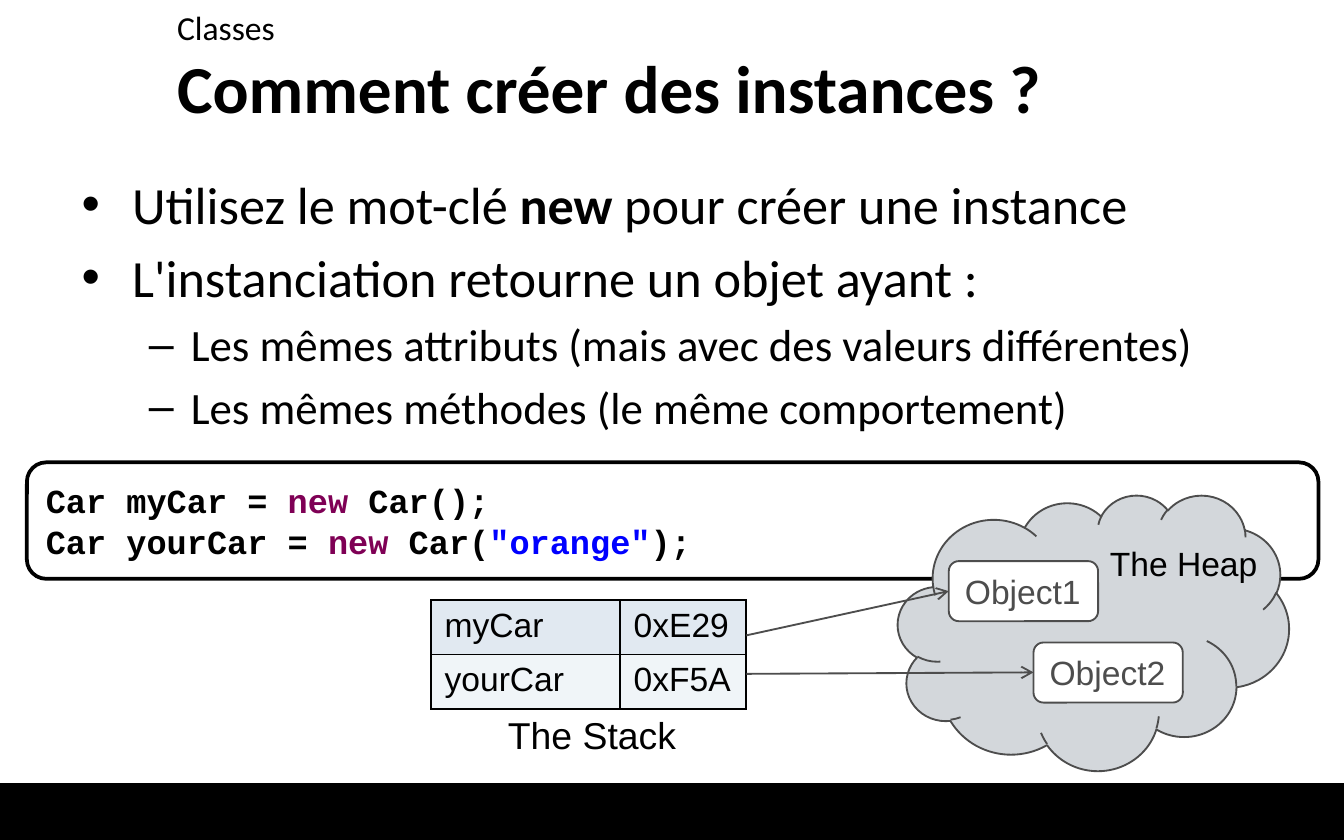
from dataclasses import dataclass
from typing import NamedTuple

from lxml.etree import SubElement
from pptx import Presentation
from pptx.dml.color import RGBColor
from pptx.enum.shapes import MSO_CONNECTOR, MSO_SHAPE
from pptx.enum.text import MSO_ANCHOR
from pptx.oxml.ns import qn
from pptx.util import Pt


@dataclass(frozen=True)
class Theme:
    black: str = "000000"
    white: str = "FFFFFF"
    grey: str = "4D4D4D"
    cloud: str = "D3D7DB"
    keyword: str = "7F0055"
    literal: str = "0000FF"
    row_fills: tuple = ("E1E9F1", "F0F5F8")
    heading: str = "Calibri"
    label: str = "Arial"
    code: str = "Courier New"
    title_size: float = 36
    body_sizes: tuple = (28, 24)
    caption_size: float = 20
    small_size: float = 18


THEME = Theme()


class Box(NamedTuple):
    left: float
    top: float
    width: float
    height: float

    def points(self) -> tuple:
        return tuple(Pt(value) for value in self)


class Span(NamedTuple):
    text: str
    color: str = THEME.black
    bold: bool | None = None


class Bullet(NamedTuple):
    level: int
    spans: list[Span]


class Arrow(NamedTuple):
    start: tuple[float, float]
    end: tuple[float, float]


def rgb(color: str) -> RGBColor:
    return RGBColor.from_string(color)


def write(para, spans: list[Span], font: str, size: float, bold: bool = False) -> None:
    para.font.name, para.font.size, para.font.bold = font, Pt(size), bold
    shared = len({span.color for span in spans}) == 1
    if shared:
        para.font.color.rgb = rgb(spans[0].color)
    for span in spans:
        run = para.add_run()
        run.text = span.text
        if span.bold is not None:
            run.font.bold = span.bold
        if not shared:
            run.font.color.rgb = rgb(span.color)


def add_text(page, box: Box, text: str, font: str, size: float,
             bold: bool = False, anchor=MSO_ANCHOR.TOP, wrap: bool = True) -> None:
    frame = page.shapes.add_textbox(*box.points()).text_frame
    frame.word_wrap = wrap
    frame.vertical_anchor = anchor
    write(frame.paragraphs[0], [Span(text)], font, size, bold)


def add_panel(page, kind, box: Box, fill: str, line: str, weight: float):
    panel = page.shapes.add_shape(kind, *box.points())
    panel.shadow.inherit = False
    panel.fill.solid()
    panel.fill.fore_color.rgb = rgb(fill)
    panel.line.color.rgb = rgb(line)
    panel.line.width = Pt(weight)
    panel.text_frame.vertical_anchor = MSO_ANCHOR.MIDDLE
    return panel


def add_bullets(page, box: Box, bullets: list[Bullet]) -> None:
    frame = page.shapes.add_textbox(*box.points()).text_frame
    frame.word_wrap = True
    layouts = (("•", 27, 27), ("–", 58.5, 22.5))
    for index, bullet in enumerate(bullets):
        para = frame.add_paragraph() if index else frame.paragraphs[0]
        mark, margin, hang = layouts[bullet.level]
        size = THEME.body_sizes[bullet.level]
        para.level = bullet.level
        if index:
            para.space_before = Pt(0.2 * size)
        properties = para._p.get_or_add_pPr()
        properties.set("marL", str(Pt(margin)))
        properties.set("indent", str(-Pt(hang)))
        SubElement(properties, qn("a:buFont"), typeface=THEME.label)
        SubElement(properties, qn("a:buChar"), char=mark)
        write(para, bullet.spans, THEME.heading, size)


def add_code(page, box: Box, lines: list[list[Span]]) -> None:
    panel = add_panel(page, MSO_SHAPE.ROUNDED_RECTANGLE, box, THEME.white, THEME.black, 2)
    frame = panel.text_frame
    for index, spans in enumerate(lines):
        para = frame.add_paragraph() if index else frame.paragraphs[0]
        para.alignment = 1
        para.line_spacing = Pt(22)
        write(para, spans, THEME.code, THEME.small_size, True)


def border_cell(cell) -> None:
    properties = cell._tc.get_or_add_tcPr()
    for position, side in enumerate(("lnL", "lnR", "lnT", "lnB")):
        line = SubElement(properties, qn(f"a:{side}"), w=str(Pt(1)))
        fill = SubElement(line, qn("a:solidFill"))
        SubElement(fill, qn("a:srgbClr"), val=THEME.black)
        properties.insert(position, line)


def add_stack(page, box: Box, widths: tuple, rows: list[tuple]) -> None:
    table = page.shapes.add_table(len(rows), len(widths), *box.points()).table
    for column, width in zip(table.columns, widths):
        column.width = Pt(width)
    for row, values, fill in zip(table.rows, rows, THEME.row_fills):
        row.height = Pt(box.height / len(rows))
        for cell, value in zip(row.cells, values):
            cell.fill.solid()
            cell.fill.fore_color.rgb = rgb(fill)
            write(cell.text_frame.paragraphs[0], [Span(value)], THEME.label, THEME.small_size)
            border_cell(cell)


def add_object(page, box: Box, name: str) -> None:
    panel = add_panel(page, MSO_SHAPE.ROUNDED_RECTANGLE, box, THEME.white, THEME.grey, 1)
    panel.text_frame.word_wrap = False
    para = panel.text_frame.paragraphs[0]
    para.alignment = 1
    write(para, [Span(name, THEME.grey)], THEME.label, THEME.small_size)


def add_arrow(page, arrow: Arrow) -> None:
    ends = [Pt(value) for value in arrow.start + arrow.end]
    connector = page.shapes.add_connector(MSO_CONNECTOR.STRAIGHT, *ends)
    connector.line.color.rgb = rgb(THEME.grey)
    connector.line.width = Pt(1)
    SubElement(connector.line._get_or_add_ln(), qn("a:tailEnd"), type="arrow")
    SubElement(connector._element.spPr, qn("a:effectLst"))


def main() -> None:
    deck = Presentation()
    deck.slide_width, deck.slide_height = Pt(720), Pt(450)
    page = deck.slides.add_slide(deck.slide_layouts[6])

    # Footer band and headings
    add_panel(page, MSO_SHAPE.RECTANGLE, Box(0, 420, 720, 30), THEME.black, THEME.black, 0.75)
    add_text(page, Box(87.8, 26.6, 612, 39.6), "Comment créer des instances ?",
             THEME.heading, THEME.title_size, True, MSO_ANCHOR.MIDDLE)
    add_text(page, Box(87.8, 0, 612, 26.6), "Classes", THEME.heading, THEME.small_size)

    # Explanation
    add_bullets(page, Box(36.7, 88.6, 652.3, 333), [
        Bullet(0, [Span("Utilisez le mot-clé "), Span("new", bold=True),
                   Span(" pour créer une instance")]),
        Bullet(0, [Span("L'instanciation retourne un objet ayant :")]),
        Bullet(1, [Span("Les mêmes attributs (mais avec des valeurs différentes)")]),
        Bullet(1, [Span("Les mêmes méthodes (le même comportement)")]),
    ])

    # Code sample
    new = Span("new ", THEME.keyword)
    add_code(page, Box(14.4, 247.7, 691.9, 62.4), [
        [Span("Car myCar = "), new, Span("Car();")],
        [Span("Car yourCar = "), new, Span("Car("),
         Span('"orange"', THEME.literal), Span(");")],
    ])

    # Stack
    add_stack(page, Box(231, 321.4, 168.8, 58.4), (101.3, 67.5),
              [("myCar", "0xE29"), ("yourCar", "0xF5A")])
    add_text(page, Box(265, 378.2, 105, 31.5), "The Stack",
             THEME.label, THEME.caption_size, wrap=False)

    # Heap and its objects
    add_panel(page, MSO_SHAPE.CLOUD, Box(481, 265, 209.5, 147.6), THEME.cloud, THEME.grey, 1)
    add_object(page, Box(553.7, 344.2, 80, 32.2), "Object2")
    add_object(page, Box(508.3, 300.6, 80, 32.2), "Object1")
    add_text(page, Box(587.5, 287.5, 94.3, 28.8), "The Heap",
             THEME.label, THEME.small_size, wrap=False)

    # References from stack to heap
    for arrow in (Arrow((399.8, 340.4), (508.3, 316.7)),
                  Arrow((399.8, 361), (553.7, 360.2))):
        add_arrow(page, arrow)

    deck.save("out.pptx")


if __name__ == "__main__":
    main()
